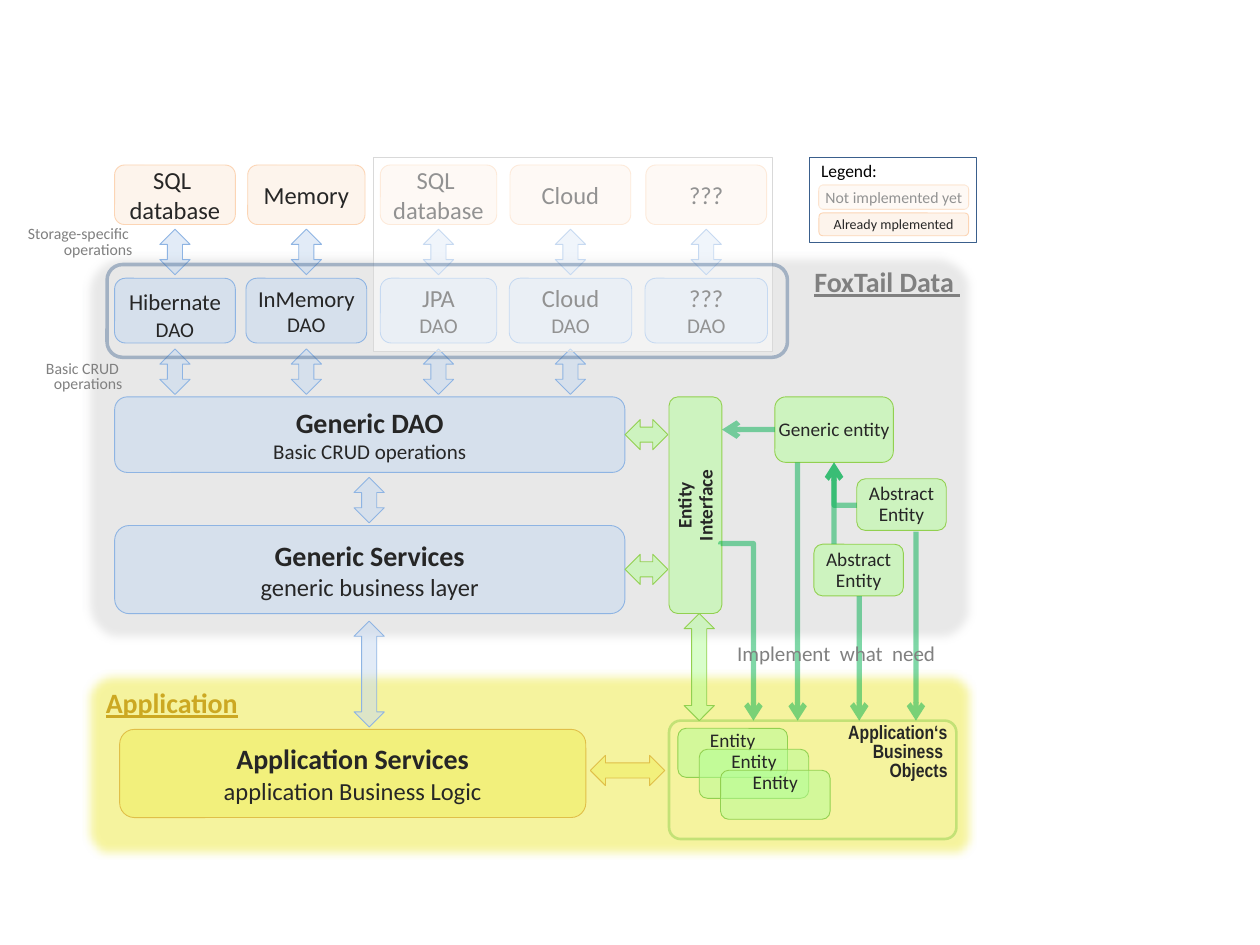
from pptx import Presentation
from pptx.dml.color import RGBColor
from pptx.enum.shapes import MSO_CONNECTOR as Connector, MSO_SHAPE as Shape
from pptx.enum.text import MSO_ANCHOR as Anchor, PP_ALIGN as Align
from pptx.oxml.ns import qn
from pptx.util import Pt
from lxml.etree import SubElement

DARK, GREY = "262626", "808080"
# Fill and line colours of each family of boxes
BLUE = dict(fill="C6D9F1", line="8EB4E3")
PEACH = dict(fill="FDEADA", line="FCD5B5")
GREEN = dict(fill="B3FE98", line="92D050")
YELLOW = dict(fill="F1EE5C", line="E0BF48")

# Centre, storage name, storage width, DAO text runs, DAO width
COLUMNS = [
    (100, "SQL \ndatabase", 69, [("Hibernate", 13), (" ", 18), ("DAO", 12)], 69),
    (175.1, "Memory", 67, [("InMemory\n", 13), ("DAO", 12)], 69),
    (250.6, "SQL \ndatabase", 66.5, [("JPA\n", 14), ("DAO", 12)], 66.5),
    (326, "Cloud", 69, [("Cloud\n", 14), ("DAO", 12)], 70),
    (403.6, "???", 69, [("???\n", 14), ("DAO", 12)], 70),
]


def rgb(hex_color):
    return RGBColor.from_string(hex_color)


def set_opacity(parent, percent):
    color = parent.find(qn("a:solidFill"))[0]
    SubElement(color, qn("a:alpha")).set("val", str(percent * 1000))


def add_text(shape, runs, size=14, color=DARK, bold=False, underline=False,
             font="Calibri", align=Align.CENTER, anchor=Anchor.MIDDLE,
             spacing=None, insets=(0, 0, 0, 0), vertical=None):
    """Write a string, or a list of (text, size[, bold]) runs, as one paragraph."""
    frame = shape.text_frame
    frame.word_wrap = True
    frame.vertical_anchor = anchor
    (frame.margin_left, frame.margin_top,
     frame.margin_right, frame.margin_bottom) = map(Pt, insets)
    if vertical:
        frame._txBody.bodyPr.set("vert", vertical)
    paragraph = frame.paragraphs[0]
    paragraph.alignment = align
    if spacing:
        paragraph.line_spacing = Pt(spacing)
    if isinstance(runs, str):
        runs = [(runs, size)]
    for text, run_size, *weight in runs:
        for index, line in enumerate(text.split("\n")):
            if index:
                paragraph.add_line_break()
            if not line:
                continue
            run = paragraph.add_run()
            run.text = line
            run.font.name = font
            run.font.size = Pt(run_size)
            run.font.bold = weight[0] if weight else bold
            run.font.underline = underline
            run.font.color.rgb = rgb(color)


def add_box(slide, left, top, width, height, runs=None, fill=None, line=None,
            kind=Shape.ROUNDED_RECTANGLE, opacity=50, line_width=0.5,
            line_opacity=100, corner=None, soft_edge=None, **text_format):
    shape = slide.shapes.add_shape(kind, Pt(left), Pt(top), Pt(width), Pt(height))
    shape.shadow.inherit = False
    properties = shape._element.spPr
    if fill:
        shape.fill.solid()
        shape.fill.fore_color.rgb = rgb(fill)
        set_opacity(properties, opacity)
    else:
        shape.fill.background()
    if line:
        shape.line.color.rgb = rgb(line)
        shape.line.width = Pt(line_width)
        if line_opacity < 100:
            set_opacity(properties.find(qn("a:ln")), line_opacity)
    else:
        shape.line.fill.background()
    if corner:
        shape.adjustments[0] = corner
    if soft_edge:
        effects = properties.find(qn("a:effectLst"))
        SubElement(effects, qn("a:softEdge")).set("rad", str(Pt(soft_edge)))
    if runs:
        add_text(shape, runs, **text_format)
    return shape


def add_label(slide, left, top, width, height, text, **text_format):
    label = slide.shapes.add_textbox(Pt(left), Pt(top), Pt(width), Pt(height))
    add_text(label, text, anchor=Anchor.TOP, **text_format)


def add_double_arrow(slide, center_x, center_y, length, style, rotation=0):
    width = 17.3
    arrow = add_box(slide, center_x - width / 2, center_y - length / 2,
                    width, length, kind=Shape.UP_DOWN_ARROW, **style)
    arrow.rotation = rotation


def add_link(slide, begin, end, preset=None, rotation=0, adjustment=None):
    """Draw a green arrow; begin and end are given before any rotation."""
    kind = Connector.ELBOW if preset else Connector.STRAIGHT
    link = slide.shapes.add_connector(kind, *map(Pt, begin + end))
    link.line.color.rgb = rgb("00B050")
    link.line.width = Pt(3)
    properties = link._element.spPr
    line = properties.find(qn("a:ln"))
    set_opacity(line, 50)
    SubElement(line, qn("a:tailEnd")).set("type", "arrow")
    SubElement(properties, qn("a:effectLst"))
    if preset:
        geometry = properties.find(qn("a:prstGeom"))
        geometry.set("prst", preset)
        properties.find(qn("a:xfrm")).set("rot", str(rotation * 60000))
        if adjustment is not None:
            guide = SubElement(geometry.find(qn("a:avLst")), qn("a:gd"))
            guide.set("name", "adj1")
            guide.set("fmla", f"val {adjustment}")


def add_panels(slide):
    add_box(slide, 47.5, 383, 510.5, 108, fill="EFEB3F", line="EEFA50",
            corner=0.105, soft_edge=5)
    add_box(slide, 382.3, 411.8, 164.2, 67.7, "Application‘s\n Business \nObjects",
            line="92D050", line_width=1.5, line_opacity=50, corner=0.099,
            size=11, font="Arial Narrow", bold=True, align=Align.RIGHT,
            anchor=Anchor.TOP, spacing=11, insets=(0, 0, 3, 0))
    add_box(slide, 47.5, 144, 510.5, 224, fill="D9D9D9", line="3A5F8C",
            opacity=60, corner=0.084, soft_edge=5)


def add_storage_columns(slide):
    for index, (center, storage, storage_width, dao, dao_width) in enumerate(COLUMNS):
        add_box(slide, center - storage_width / 2, 94.3, storage_width, 34,
                storage, **PEACH)
        add_box(slide, center - dao_width / 2, 159, dao_width, 37, dao, **BLUE)
        add_double_arrow(slide, center, 144, 26, BLUE)
        if index < 4:
            add_double_arrow(slide, center, 212.4, 26, BLUE)
    add_box(slide, 213.3, 90, 228, 110.7, kind=Shape.RECTANGLE,
            fill="FFFFFF", line="D9D9D9", line_width=0)
    add_box(slide, 61.2, 151.2, 388.8, 53, line="3A5F8C", line_width=2,
            line_opacity=40)


def add_layers(slide):
    add_box(slide, 65.5, 226.8, 291.6, 43.2,
            [("Generic DAO\n", 16, True), ("Basic CRUD operations", 12)], **BLUE)
    add_box(slide, 65.5, 300.3, 291.6, 50.4,
            [("Generic Services\n", 16, True), ("generic business layer", 14)], **BLUE)
    add_box(slide, 68.4, 416.8, 266.4, 50.4,
            [("Application Services\n", 16, True),
             ("application Business Logic", 14)], **YELLOW)
    add_double_arrow(slide, 211, 285.8, 26, BLUE)
    add_double_arrow(slide, 211, 385.2, 60.5, BLUE)
    add_double_arrow(slide, 358.6, 440.3, 42.5, YELLOW, rotation=90)


def add_entities(slide):
    entity = dict(size=11, spacing=12, **GREEN)
    add_box(slide, 442.8, 226.8, 67.7, 37.4, "Generic entity", **entity)
    for step in range(3):
        add_box(slide, 387.4 + 12.2 * step, 416.2 + 12 * step, 62.6, 28,
                "Entity", anchor=Anchor.TOP, **entity)
    add_box(slide, 382.3, 226.8, 30.2, 123.8, "Entity\nInterface",
            bold=True, vertical="vert270", **entity)
    for left, top in ((465.1, 311), (489.6, 273.6)):
        add_box(slide, left, top, 51.1, 29.5, "Abstract Entity", **entity)
    for center_y in (248.4, 325.4):
        add_double_arrow(slide, 369.4, center_y, 24.5, GREEN, rotation=90)
    add_double_arrow(slide, 399.6, 381.2, 61.2, GREEN)


def add_links(slide):
    add_link(slide, (476.6, 264.2), (489.6, 288.7), "bentConnector2", rotation=180)
    add_link(slide, (442.8, 245.5), (412.6, 245.5))
    add_link(slide, (476.6, 311), (476.6, 264.2))
    for x, top in ((455.8, 264.2), (491, 340.6), (523.4, 303.8)):
        add_link(slide, (x, top), (x, 411.8))
    add_link(slide, (471.6, 352.1), (370.8, 370.8), "bentConnector3",
             rotation=270, adjustment=-500)


def add_legend(slide):
    add_box(slide, 462.2, 90, 95.8, 48.2, "Legend:", kind=Shape.RECTANGLE,
            line="3A5F8C", line_width=0.25, size=10, color="000000",
            align=Align.LEFT, anchor=Anchor.TOP, insets=(7.2, 1.5, 7.2, 3))
    add_box(slide, 468, 105.8, 85.5, 13.7, "Not implemented yet", size=9, **PEACH)
    add_box(slide, 468, 105.8, 85.5, 13.7, kind=Shape.RECTANGLE, fill="FFFFFF")
    add_box(slide, 468, 121.7, 85.5, 13, "Already mplemented", size=8, **PEACH)


def add_labels(slide):
    note = dict(size=9, color=GREY, align=Align.RIGHT, spacing=9)
    heading = dict(size=16, bold=True, underline=True)
    add_label(slide, 8, 129.6, 67.6, 18, "Storage-specific \noperations", **note)
    add_label(slide, 25.2, 206.6, 44.7, 18, "Basic CRUD \noperations", **note)
    add_label(slide, 421.2, 371.5, 131.8, 9.4, "Implement  what  need",
              size=12, color=GREY, align=Align.LEFT, spacing=9)
    add_label(slide, 60.5, 391.7, 95.8, 19.4, "Application",
              color="CCA822", align=Align.LEFT, **heading)
    add_label(slide, 455.8, 151.2, 92.9, 23, "FoxTail Data ",
              color=GREY, align=Align.RIGHT, **heading)


def main():
    presentation = Presentation()
    presentation.slide_width, presentation.slide_height = Pt(720), Pt(540)
    slide = presentation.slides.add_slide(presentation.slide_layouts[6])
    for add_part in (add_panels, add_storage_columns, add_layers, add_entities,
                     add_links, add_legend, add_labels):
        add_part(slide)
    presentation.save("out.pptx")


if __name__ == "__main__":
    main()
